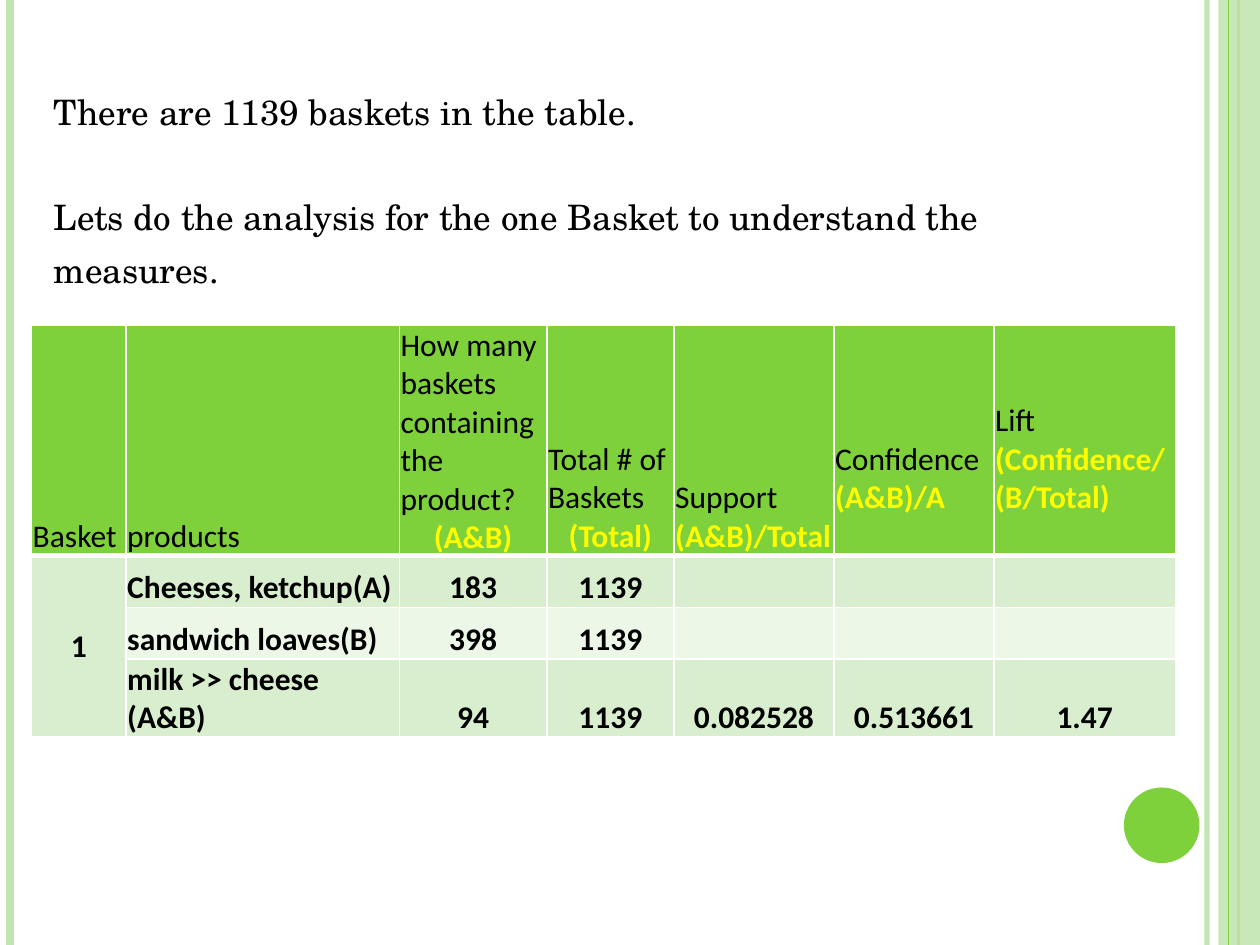
from lxml import etree
from pptx import Presentation
from pptx import util as u
from pptx.dml.color import RGBColor
from pptx.enum import shapes, text
from pptx.oxml.ns import qn

THEME = {
    "green": "7FD13B", "pale": "C0E5AF", "band": "D8EECE", "band_light": "ECF7E8",
    "ink": "000000", "accent": "FFFF00", "grid": "FFFFFF",
    "body_font": "TeX Gyre Schola", "body_size": 20,
    "table_font": "Calibri", "table_size": 18,
}
WIDTH, HEIGHT = 10, 7.5

# Body text with the space before each paragraph, in points
BODY = [
    ("There are 1139 baskets in the table.", 6),
    ("Lets do the analysis for the one Basket to understand the", 36),
    ("measures.", 6),
]
# Each header is a list of paragraphs; \v is a line break
HEADERS = [
    ["Basket"],
    ["products"],
    ["How many baskets containing the product?", "(A&B)"],
    ["Total # of Baskets", "(Total)"],
    ["Support\v(A&B)/Total"],
    ["Confidence\v(A&B)/A\v"],
    ["Lift\v(Confidence/(B/Total)\v"],
]
ROWS = [
    ["1", "Cheeses, ketchup(A)", "183", "1139", "", "", ""],
    ["", "sandwich loaves(B)", "398", "1139", "", "", ""],
    ["", "milk >> cheese (A&B)", "94", "1139", "0.082528", "0.513661", "1.47"],
]
COLUMN_WIDTHS = [0.75, 2.17, 1.17, 1.01, 1.27, 1.27, 1.44]
ROW_HEIGHTS = [1.83, 0.41, 0.41, 0.62]
# Vertical rules: x, colour, width in points, opacity in percent
RULES_BEHIND = [(9.58, "pale", 3, 93), (0.08, "pale", 4.5, 100), (9.83, "green", 1.5, 100)]
RULES_FRONT = [(9.75, "green", 0.75, 100)]


def color(name):
    """Return a theme colour."""
    return RGBColor.from_string(THEME[name])


def set_opacity(shape, percent):
    """Make the first solid colour of a shape partly transparent."""
    if percent < 100:
        solid = next(shape._element.iter(qn("a:srgbClr")))
        etree.SubElement(solid, qn("a:alpha"), val=str(percent * 1000))


def add_rule(slide, x, name, width, opacity):
    """Draw a full-height vertical line."""
    rule = slide.shapes.add_connector(
        shapes.MSO_CONNECTOR.STRAIGHT, u.Inches(x), 0, u.Inches(x), u.Inches(HEIGHT))
    rule.line.color.rgb = color(name)
    rule.line.width = u.Pt(width)
    set_opacity(rule, opacity)
    etree.SubElement(rule._element.spPr, qn("a:effectLst"))


def add_filled(slide, kind, box, name, opacity=100):
    """Draw a plain shape without outline."""
    shape = slide.shapes.add_shape(kind, *map(u.Inches, box))
    shape.shadow.inherit = False
    shape.fill.solid()
    shape.fill.fore_color.rgb = color(name)
    shape.line.fill.background()
    set_opacity(shape, opacity)


def style_run(run, font, size, name="ink", bold=False):
    """Format one run."""
    run.font.name, run.font.size, run.font.bold = font, u.Pt(size), bold
    run.font.color.rgb = color(name)


def add_body(slide):
    """Write the introduction."""
    frame = slide.shapes.add_textbox(*map(u.Inches, (0.33, 0.67, 8.83, 1.8))).text_frame
    frame.word_wrap = True
    frame.text = "\n".join(line for line, _ in BODY)
    for paragraph, (_, space) in zip(frame.paragraphs, BODY):
        paragraph.space_before = u.Pt(space)
        style_run(paragraph.runs[0], THEME["body_font"], THEME["body_size"])


def set_borders(cell, row):
    """Draw the white grid, thicker below the header row."""
    widths = {"L": 1, "R": 1, "T": 3 if row == 1 else 1, "B": 3 if row == 0 else 1}
    properties = cell._tc.get_or_add_tcPr()
    for side, width in widths.items():
        line = etree.SubElement(properties, qn("a:ln" + side), w=str(u.Pt(width)))
        fill = etree.SubElement(line, qn("a:solidFill"))
        etree.SubElement(fill, qn("a:srgbClr"), val=THEME["grid"])


def fill_cell(cell, row, column, paragraphs):
    """Write and format one table cell."""
    header = row == 0
    set_borders(cell, row)
    cell.fill.solid()
    cell.fill.fore_color.rgb = color(
        "green" if header else "band" if row % 2 else "band_light")
    cell.margin_left = cell.margin_right = cell.margin_top = u.Inches(0.01)
    cell.margin_bottom = 0
    middle = not header and column == 0
    cell.vertical_anchor = text.MSO_ANCHOR.MIDDLE if middle else text.MSO_ANCHOR.BOTTOM
    cell.text_frame.text = "\n".join(paragraphs)
    runs = []
    for index, paragraph in enumerate(cell.text_frame.paragraphs):
        centred = index > 0 if header else column != 1
        paragraph.alignment = text.PP_ALIGN.CENTER if centred else text.PP_ALIGN.LEFT
        paragraph.font.size = u.Pt(THEME["table_size"])
        runs.extend(paragraph.runs)
    for index, run in enumerate(runs):
        formula = header and index > 0
        style_run(run, THEME["table_font"], THEME["table_size"],
                  "accent" if formula else "ink", formula or not header)


def add_measures(slide):
    """Build the table of measures."""
    content = [HEADERS] + [[[value] for value in row] for row in ROWS]
    table = slide.shapes.add_table(
        len(content), len(HEADERS), u.Inches(0.25), u.Inches(2.58),
        u.Inches(sum(COLUMN_WIDTHS)), u.Inches(sum(ROW_HEIGHTS))).table
    for column, width in zip(table.columns, COLUMN_WIDTHS):
        column.width = u.Inches(width)
    for row, height in zip(table.rows, ROW_HEIGHTS):
        row.height = u.Inches(height)
    for r, row in enumerate(content):
        for c, paragraphs in enumerate(row):
            fill_cell(table.cell(r, c), r, c, paragraphs)
    table.cell(1, 0).merge(table.cell(len(ROWS), 0))


def main():
    """Build and save the slide."""
    presentation = Presentation()
    presentation.slide_width, presentation.slide_height = u.Inches(WIDTH), u.Inches(HEIGHT)
    slide = presentation.slides.add_slide(presentation.slide_layouts[6])
    for rule in RULES_BEHIND:
        add_rule(slide, *rule)
    add_filled(slide, shapes.MSO_SHAPE.RECTANGLE, (9.67, 0, 0.33, HEIGHT), "pale", 87)
    for rule in RULES_FRONT:
        add_rule(slide, *rule)
    add_filled(slide, shapes.MSO_SHAPE.OVAL, (8.92, 6.25, 0.6, 0.6), "green")
    add_body(slide)
    add_measures(slide)
    presentation.save("out.pptx")


main()
